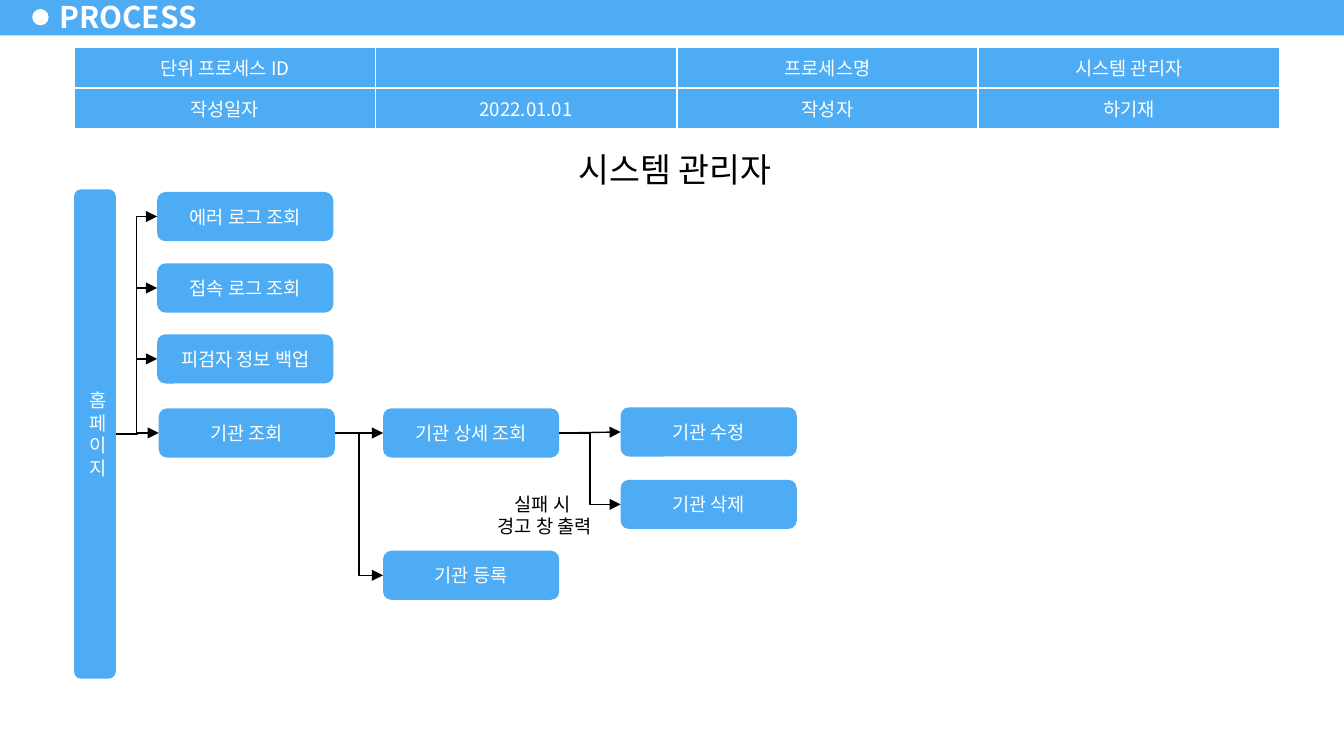
"""Builds the process flow slide for the system manager."""
import pptx
import pptx.util
import pptx.dml.color
import pptx.enum.shapes
import pptx.enum.text
import pptx.oxml
import pptx.oxml.ns
from lxml import etree

Cm = pptx.util.Cm
Pt = pptx.util.Pt
KIND = pptx.enum.shapes.MSO_SHAPE
LINK = pptx.enum.shapes.MSO_CONNECTOR
ALIGN = pptx.enum.text.PP_ALIGN
ANCHOR = pptx.enum.text.MSO_ANCHOR
FONT = "Noto Sans CJK KR"
HUES = {"blue": "4DACF3", "white": "FFFFFF", "black": "000000"}
LEFT, RIGHT = 1, 3

CELLS = [
    ["단위 프로세스 ID", "", "프로세스명", "시스템 관리자"],
    ["작성일자", "2022.01.01", "작성자", "하기재"],
]
STEPS = {
    "에러 로그 조회": (2.97, 3.63),
    "접속 로그 조회": (2.97, 4.98),
    "피검자 정보 백업": (2.97, 6.32),
    "기관 조회": (3, 7.72),
    "기관 상세 조회": (7.24, 7.72),
    "기관 등록": (7.24, 10.41),
    "기관 삭제": (11.73, 9.07),
    "기관 수정": (11.73, 7.7),
}
LINKS = [
    ("홈페이지", "에러 로그 조회", LINK.ELBOW),
    ("홈페이지", "접속 로그 조회", LINK.ELBOW),
    ("홈페이지", "피검자 정보 백업", LINK.ELBOW),
    ("홈페이지", "기관 조회", LINK.ELBOW),
    ("기관 조회", "기관 상세 조회", LINK.STRAIGHT),
    ("기관 상세 조회", "기관 수정", LINK.STRAIGHT),
    ("기관 상세 조회", "기관 삭제", LINK.ELBOW),
    ("기관 조회", "기관 등록", LINK.ELBOW),
]


def tint(name):
    return pptx.dml.color.RGBColor.from_string(HUES[name])


def child(node, tag, **attrs):
    return etree.SubElement(node, pptx.oxml.ns.qn(tag), **attrs)


def write(frame, lines, size=10, hue="white", bold=False, align=ALIGN.CENTER):
    for i, line in enumerate(lines):
        para = frame.paragraphs[0] if i == 0 else frame.add_paragraph()
        para.alignment = align
        run = para.add_run()
        run.text = line
        run.font.size = Pt(size)
        run.font.bold = bold
        run.font.name = FONT
        run.font.color.rgb = tint(hue)
        child(run.font._element, "a:ea", typeface=FONT)


def add_box(slide, kind, x, y, w, h, fill="blue"):
    box = slide.shapes.add_shape(kind, Cm(x), Cm(y), Cm(w), Cm(h))
    box.shadow.inherit = False
    box.fill.solid()
    box.fill.fore_color.rgb = tint(fill)
    box.line.fill.background()
    return box


def add_step(slide, text, x, y, w=3.33, h=0.93):
    box = add_box(slide, KIND.ROUNDED_RECTANGLE, x, y, w, h)
    box.adjustments[0] = 0.17
    box.text_frame.word_wrap = True
    box.text_frame.vertical_anchor = ANCHOR.MIDDLE
    write(box.text_frame, [text])
    return box


def add_link(slide, start, end, kind):
    link = slide.shapes.add_connector(kind, 0, 0, 0, 0)
    link.begin_connect(start, RIGHT)
    link.end_connect(end, LEFT)
    link.line.width = Pt(0.75)
    link.line.color.rgb = tint("black")
    child(link.line._get_or_add_ln(), "a:tailEnd", type="triangle")
    child(link.element.spPr, "a:effectLst")


def add_head(slide):
    title = slide.shapes.title
    bar = add_box(slide, KIND.RECTANGLE, 0, -0.05, 25.4, 0.72)
    dot = add_box(slide, KIND.OVAL, 0.61, 0.17, 0.31, 0.31, "white")
    for shape in (bar, dot):
        title.element.addprevious(shape.element)
    title.left, title.top = Cm(0.89), Cm(-0.1)
    title.width, title.height = Cm(3.1), Cm(0.82)
    frame = title.text_frame
    frame.margin_left = frame.margin_right = Cm(0.23)
    frame.margin_top = frame.margin_bottom = Cm(0.1)
    frame.word_wrap = False
    frame.vertical_anchor = ANCHOR.MIDDLE
    write(frame, ["PROCESS"], 16, bold=True, align=ALIGN.LEFT)


def edge(cell):
    props = cell._tc.get_or_add_tcPr()
    for side in ("a:lnL", "a:lnR", "a:lnT", "a:lnB"):
        line = child(props, side, w=str(Pt(1)))
        child(child(line, "a:solidFill"), "a:srgbClr", val=HUES["white"])


def add_grid(slide):
    frame = slide.shapes.add_table(2, 4, Cm(1.4), Cm(0.9), Cm(22.78), Cm(1.42))
    grid = frame.table
    grid.first_row = grid.horz_banding = False
    for r, texts in enumerate(CELLS):
        for c, text in enumerate(texts):
            cell = grid.cell(r, c)
            edge(cell)
            cell.fill.solid()
            cell.fill.fore_color.rgb = tint("blue")
            cell.vertical_anchor = ANCHOR.MIDDLE
            if text:
                write(cell.text_frame, [text])
            else:
                child(cell.text_frame.paragraphs[0]._p, "a:endParaRPr", sz="1000")


def add_note(slide):
    note = slide.shapes.add_textbox(Cm(8.92), Cm(9.19), Cm(2.67), Cm(1.12))
    note.text_frame.word_wrap = False
    write(note.text_frame, ["실패 시", " 경고 창 출력"], hue="black")


def main():
    deck = pptx.Presentation()
    deck.slide_width, deck.slide_height = Cm(25.4), Cm(14.29)
    slide = deck.slides.add_slide(deck.slide_layouts[5])
    add_head(slide)
    add_grid(slide)
    name = add_box(slide, KIND.RECTANGLE, 9.25, 2.69, 7.01, 1.04, "white")
    name.text_frame.word_wrap = True
    name.text_frame.vertical_anchor = ANCHOR.TOP
    write(name.text_frame, ["시스템 관리자"], 18, "black")
    boxes = {"홈페이지": add_step(slide, "홈페이지", 1.4, 3.58, 0.79, 9.25)}
    add_note(slide)
    for text, (x, y) in STEPS.items():
        boxes[text] = add_step(slide, text, x, y)
    for start, end, kind in LINKS:
        add_link(slide, boxes[start], boxes[end], kind)
    deck.save("out.pptx")


if __name__ == "__main__":
    main()
